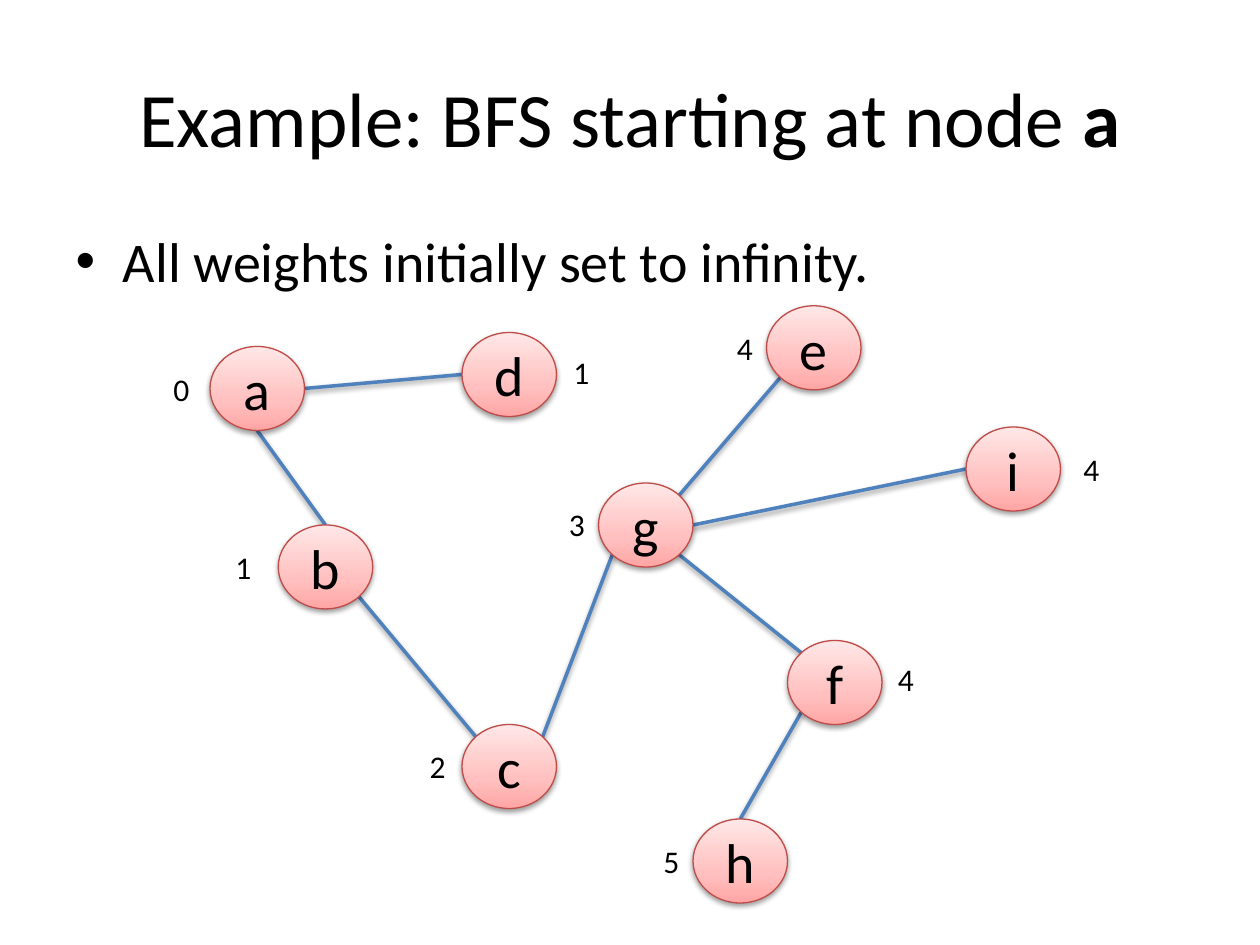
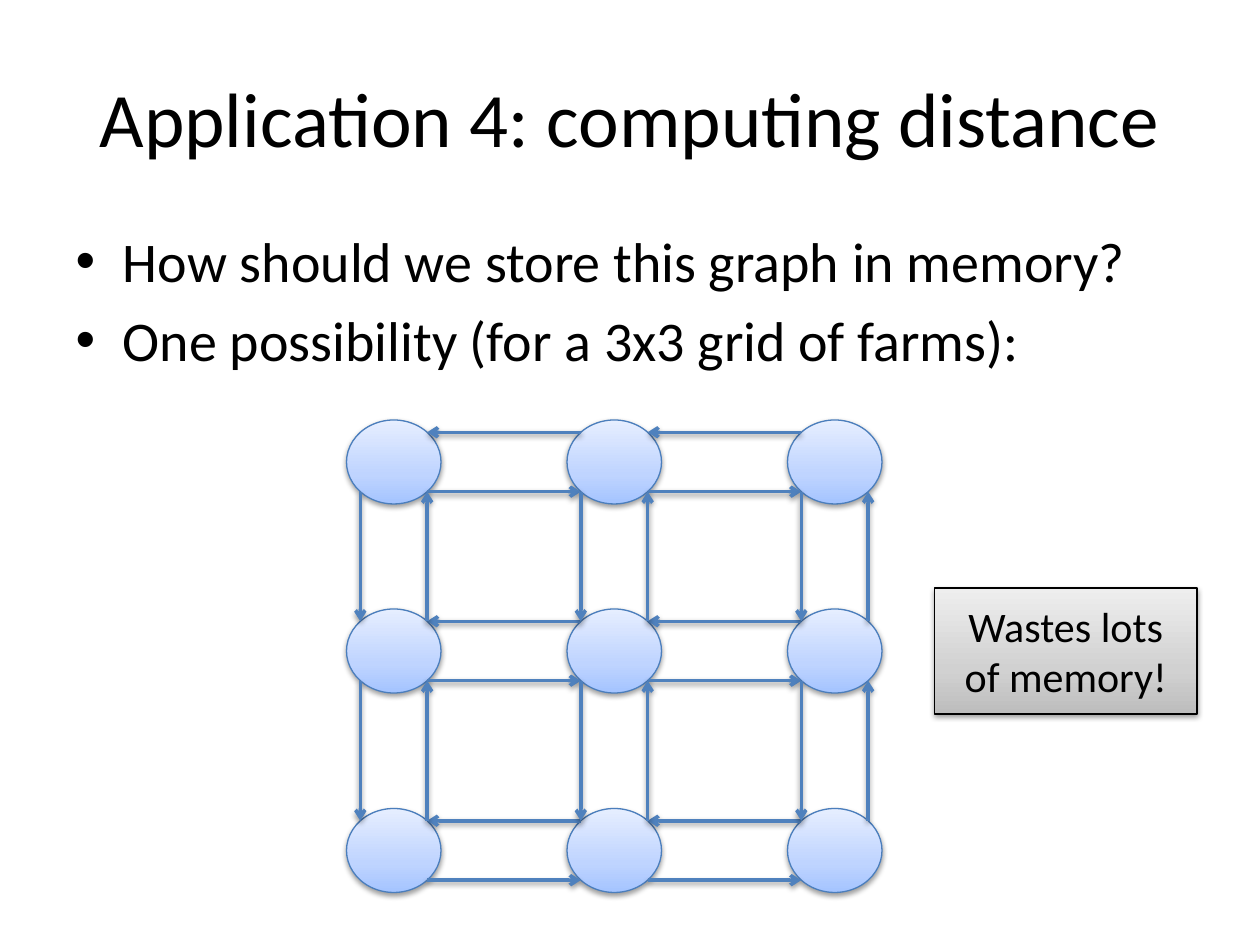
"""Build two graph slides: a BFS example and a grid of farms stored as nodes."""
from dataclasses import dataclass
from math import sqrt

from lxml import etree
from pptx import Presentation
from pptx.dml.color import RGBColor
from pptx.enum import shapes, text
from pptx.oxml import ns
from pptx.util import Pt

FONT = "Calibri"
BLACK = "000000"
EDGE_BLUE = "4F81BD"
NODE_WIDTH, NODE_HEIGHT = 54, 48
DIAGONAL = 1 / sqrt(2)
SIDES = {
    "top": (0, -1),
    "bottom": (0, 1),
    "left": (-1, 0),
    "right": (1, 0),
    "top left": (-DIAGONAL, -DIAGONAL),
    "top right": (DIAGONAL, -DIAGONAL),
    "bottom left": (-DIAGONAL, DIAGONAL),
    "bottom right": (DIAGONAL, DIAGONAL),
}


@dataclass(frozen=True)
class Palette:
    """Gradient from bottom to top, and outline."""
    bottom: str
    middle: str
    top: str
    outline: str


@dataclass(frozen=True)
class Node:
    """Graph node with its letter and the place of its weight."""
    left: float
    top: float
    letter: str = ""
    weight: str = ""
    weight_left: float = 0
    weight_top: float = 0

    def site(self, side: str) -> tuple[float, float]:
        """Return the point on the node's outline at one side."""
        across, down = SIDES[side]
        return (self.left + NODE_WIDTH / 2 * (1 + across),
                self.top + NODE_HEIGHT / 2 * (1 + down))


@dataclass(frozen=True)
class Edge:
    """Line from a side of one node to a side of another."""
    start: Node
    start_side: str
    end: Node
    end_side: str


RED = Palette("FFA6A5", "FFC0BF", "FFE7E7", "BF4C48")
BLUE = Palette("A4C4FF", "BFD4FF", "E6EEFF", "4B7EBC")
GREY = Palette("BDBDBD", "D1D1D1", "EEEEEE", BLACK)


def rgb(value: str) -> RGBColor:
    """Turn a hex string into a colour."""
    return RGBColor.from_string(value)


def add_run(paragraph, words: str, size: float, bold: bool = False) -> None:
    """Append one run of black text."""
    run = paragraph.add_run()
    run.text = words
    run.font.name = FONT
    run.font.size = Pt(size)
    run.font.color.rgb = rgb(BLACK)
    if bold:
        run.font.bold = True


def add_xml(parent, tag: str, **attributes: str):
    """Append a DrawingML element."""
    return etree.SubElement(parent, ns.qn(f"a:{tag}"), attributes)


def cast_shadow(properties) -> None:
    """Give a shape or connector the soft shadow below it."""
    effects = properties.find(ns.qn("a:effectLst"))
    if effects is None:
        effects = add_xml(properties, "effectLst")
    shadow = add_xml(effects, "outerShdw", blurRad="40000", dist="20000",
                     dir="5400000", rotWithShape="0")
    add_xml(add_xml(shadow, "srgbClr", val=BLACK), "alpha", val="38000")


def paint(shape, palette: Palette) -> None:
    """Apply gradient, outline and shadow."""
    shape.fill.gradient()
    shape.fill.gradient_angle = 90
    first, last = shape.fill.gradient_stops
    first.color.rgb, last.color.rgb = rgb(palette.bottom), rgb(palette.top)
    stops = shape.element.spPr.find(".//" + ns.qn("a:gsLst"))
    middle = etree.Element(ns.qn("a:gs"), pos="35000")
    add_xml(middle, "srgbClr", val=palette.middle)
    stops.insert(1, middle)
    shape.line.color.rgb = rgb(palette.outline)
    shape.line.width = Pt(0.75)
    shape.shadow.inherit = False
    cast_shadow(shape.element.spPr)


def add_label(shape, words: str, size: float) -> None:
    """Write centred text in a shape."""
    frame = shape.text_frame
    frame.word_wrap = True
    frame.vertical_anchor = text.MSO_ANCHOR.MIDDLE
    paragraph = frame.paragraphs[0]
    paragraph.alignment = text.PP_ALIGN.CENTER
    add_run(paragraph, words, size)


def draw_node(slide, node: Node, palette: Palette) -> None:
    """Draw a node with its letter and weight, if any."""
    circle = slide.shapes.add_shape(
        shapes.MSO_SHAPE.OVAL, Pt(node.left), Pt(node.top),
        Pt(NODE_WIDTH), Pt(NODE_HEIGHT))
    paint(circle, palette)
    if node.letter:
        add_label(circle, node.letter, 32)
    if node.weight:
        weight = slide.shapes.add_textbox(
            Pt(node.weight_left), Pt(node.weight_top), Pt(23.75), Pt(29))
        weight.text_frame.word_wrap = False
        weight.text_frame.auto_size = text.MSO_AUTO_SIZE.SHAPE_TO_FIT_TEXT
        add_run(weight.text_frame.paragraphs[0], node.weight, 18)


def draw_edge(slide, edge: Edge, arrow: bool = False) -> None:
    """Draw an edge, with an arrowhead at its end if directed."""
    points = edge.start.site(edge.start_side) + edge.end.site(edge.end_side)
    connector = slide.shapes.add_connector(
        shapes.MSO_CONNECTOR.STRAIGHT, *(Pt(value) for value in points))
    connector.line.color.rgb = rgb(EDGE_BLUE)
    connector.line.width = Pt(2)
    properties = connector._element.spPr
    if arrow:
        add_xml(properties.find(ns.qn("a:ln")), "tailEnd", type="arrow")
    cast_shadow(properties)


def place(shape, left: float, top: float, width: float, height: float) -> None:
    """Move and size a placeholder."""
    shape.left, shape.top = Pt(left), Pt(top)
    shape.width, shape.height = Pt(width), Pt(height)


def add_slide(deck, title: str, bullets: list[str], bold_end: str = ""):
    """Add a slide with its title and bulleted list."""
    slide = deck.slides.add_slide(deck.slide_layouts[1])
    heading, body = slide.placeholders
    place(heading, 36, 21.6, 648, 90)
    place(body, 36, 126, 648, 356.4)
    heading_line = heading.text_frame.paragraphs[0]
    add_run(heading_line, title, 44)
    if bold_end:
        add_run(heading_line, bold_end, 44, bold=True)
    frame = body.text_frame
    for index, bullet in enumerate(bullets):
        paragraph = frame.add_paragraph() if index else frame.paragraphs[0]
        add_run(paragraph, bullet, 32)
    return slide


def build_bfs(deck) -> None:
    """Build the breadth-first search example."""
    slide = add_slide(deck, "Example: BFS starting at node ",
                      ["All weights initially set to infinity."], "a")
    a = Node(120, 198, "a", "0", 92, 208)
    b = Node(159, 300, "b", "1", 127.5, 309.5)
    c = Node(264, 414, "c", "2", 238.5, 423.5)
    d = Node(264, 190, "d", "1", 320.5, 198)
    e = Node(438, 174.75, "e", "4", 414, 184.5)
    f = Node(450, 366, "f", "4", 506, 373.5)
    g = Node(342, 276, "g", "3", 318, 285)
    h = Node(396, 468, "h", "5", 372, 477.5)
    i = Node(552, 244, "i", "4", 612, 253.5)
    for edge in (
        Edge(a, "bottom", b, "top"),
        Edge(a, "right", d, "left"),
        Edge(b, "bottom right", c, "top left"),
        Edge(c, "top right", g, "bottom left"),
        Edge(g, "top right", e, "bottom left"),
        Edge(g, "bottom right", f, "top left"),
        Edge(g, "right", i, "left"),
        Edge(f, "bottom left", h, "top"),
    ):
        draw_edge(slide, edge)
    for node in (a, b, d, c, g, e, f, i, h):
        draw_node(slide, node, RED)


def build_farms(deck) -> None:
    """Build the grid of farms joined in both directions."""
    slide = add_slide(deck, "Application 4: computing distance",
                      ["How should we store this graph in memory?",
                       "One possibility (for a 3x3 grid of farms):"])
    farms = [[Node(left, top) for left in (198, 324, 450)]
             for top in (240, 348, 462)]
    for row in farms:
        for farm in row:
            draw_node(slide, farm, BLUE)
    roads = []
    for row in farms:
        for west, east in zip(row, row[1:]):
            roads += [Edge(west, "bottom right", east, "bottom left"),
                      Edge(east, "top left", west, "top right")]
    for upper_row, lower_row in zip(farms, farms[1:]):
        for north, south in zip(upper_row, lower_row):
            roads += [Edge(north, "bottom left", south, "top left"),
                      Edge(south, "top right", north, "bottom right")]
    for road in roads:
        draw_edge(slide, road, arrow=True)
    verdict = slide.shapes.add_shape(
        shapes.MSO_SHAPE.RECTANGLE, Pt(534), Pt(336), Pt(150), Pt(72))
    paint(verdict, GREY)
    add_label(verdict, "Wastes lots of memory!", 24)


def main() -> None:
    """Build and save the deck."""
    deck = Presentation()
    deck.slide_width, deck.slide_height = Pt(720), Pt(540)
    build_bfs(deck)
    build_farms(deck)
    deck.save("out.pptx")


if __name__ == "__main__":
    main()
